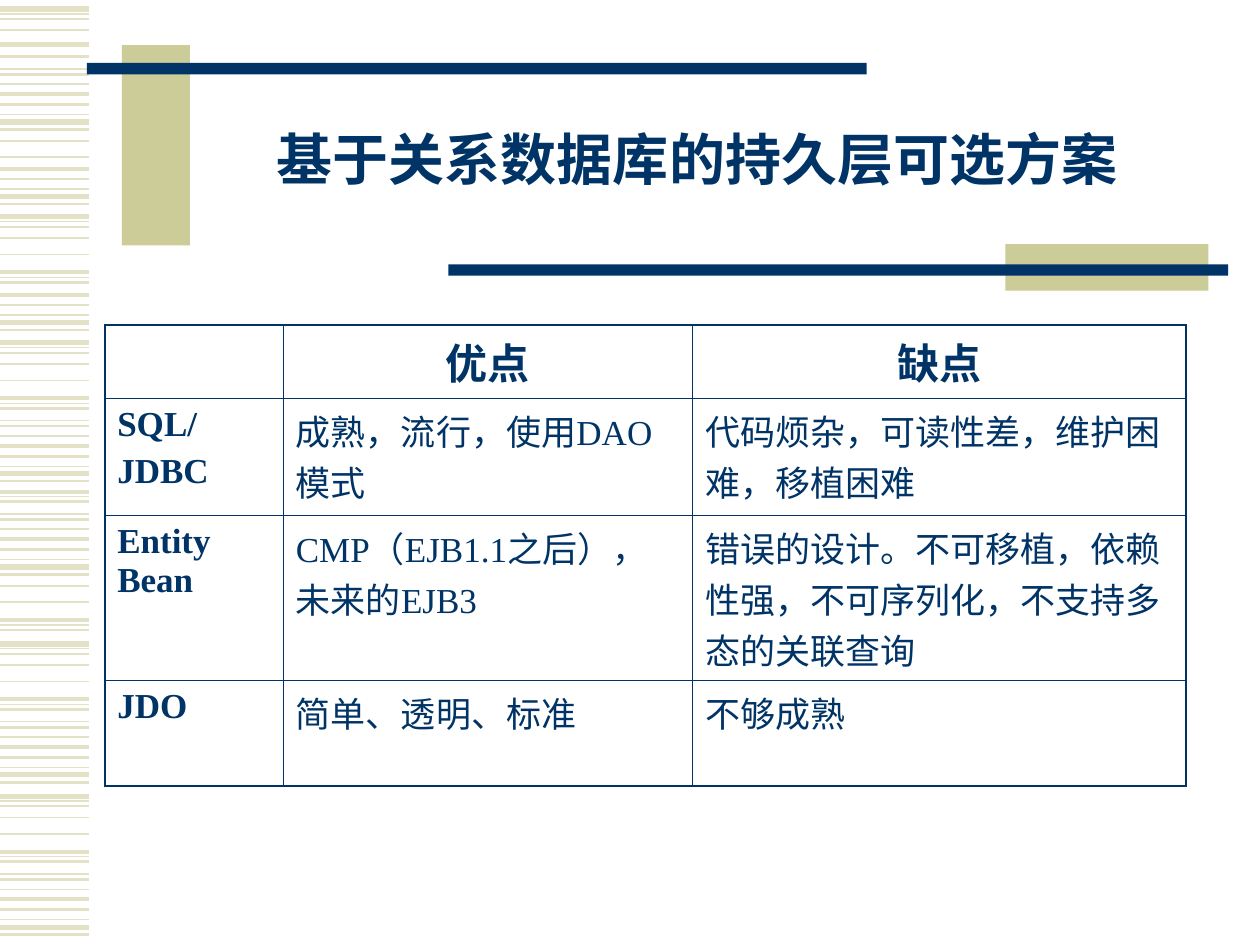
from lxml.etree import SubElement
from pptx import Presentation
from pptx.dml.color import RGBColor
from pptx.enum.shapes import MSO_CONNECTOR, MSO_SHAPE
from pptx.enum.text import MSO_ANCHOR, PP_ALIGN
from pptx.oxml.ns import qn
from pptx.util import Cm, Pt

NAVY, OLIVE, PALE = "003366", "CCCC99", "E3E2C7"
FONT = "Times New Roman"

# One stripe motif: offset from its top in cm, line weight in points
MOTIF = [(0, 3), (0.1, 0.75), (0.2, 1), (0.43, 1), (0.76, 1), (1.12, 2.25),
         (1.22, 0.75), (1.32, 1.5), (1.57, 0.75), (1.68, 1.5), (1.88, 1),
         (2.08, 2.25), (2.29, 1.5), (2.49, 0.75), (2.64, 3), (2.79, 1.5)]
# Runs of the motif down the margin: top in cm, first stripe, end stripe
STRIPE_RUNS = [(0.18, 0, 4), (0.89, 14, 15), (1.14, 7, 16), (2.84, 3, 5),
               (3.4, 11, 16), (4.37, 0, 8), (5.94, 11, 16), (6.91, 0, 16),
               (9.91, 5, 16), (11.81, 3, 8), (12.98, 0, 16), (16.05, 0, 16)]

TITLE = "基于关系数据库的持久层可选方案"
ROWS = [
    ["", "优点", "缺点"],
    ["SQL/\nJDBC", "成熟，流行，使用DAO模式", "代码烦杂，可读性差，维护困难，移植困难"],
    ["Entity Bean", "CMP（EJB1.1之后），未来的EJB3",
     "错误的设计。不可移植，依赖性强，不可序列化，不支持多态的关联查询"],
    ["JDO", "简单、透明、标准", "不够成熟"],
]
COLUMN_WIDTHS = [3.6, 8.25, 9.95]
ROW_HEIGHTS = [1.48, 2.36, 2.92, 2.13]


def color(hex_string):
    return RGBColor.from_string(hex_string)


def set_all(target, values):
    for name, value in values.items():
        setattr(target, name, value)


def format_paragraph(paragraph, size, bold, **values):
    set_all(paragraph, values)
    set_all(paragraph.font, {"name": FONT, "size": Pt(size), "bold": bold})
    paragraph.font.color.rgb = color(NAVY)


def add_stripes(slide, left, top, width):
    """Pale horizontal stripes down the left margin."""
    for run_top, first, end in STRIPE_RUNS:
        for offset, weight in MOTIF[first:end]:
            y = Cm(top + run_top + offset - MOTIF[first][0])
            stripe = slide.shapes.add_connector(
                MSO_CONNECTOR.STRAIGHT, Cm(left), y, Cm(left + width), y)
            stripe.line.color.rgb = color(PALE)
            stripe.line.width = Pt(weight)
            SubElement(stripe._element.spPr, qn("a:effectLst"))


def add_block(slide, left, top, width, height, fill):
    block = slide.shapes.add_shape(
        MSO_SHAPE.RECTANGLE, Cm(left), Cm(top), Cm(width), Cm(height))
    block.fill.solid()
    block.fill.fore_color.rgb = color(fill)
    block.line.fill.background()
    block.shadow.inherit = False


def add_header(slide, left, top, width, height):
    """Title between two bars, each crossing an olive block."""
    bar_width, bar_height = 15.72, 0.23
    add_block(slide, left + 0.71, top, 1.37, 4.04, OLIVE)
    add_block(slide, left, top + 0.36, bar_width, bar_height, NAVY)
    add_block(slide, left + width - 4.49, top + height - 0.94, 4.09, 0.94, OLIVE)
    add_block(slide, left + width - bar_width, top + height - 0.53,
              bar_width, bar_height, NAVY)

    title = slide.shapes.title
    set_all(title, {"left": Cm(left + 2.06), "top": Cm(top + 0.79),
                    "width": Cm(20.5), "height": Cm(3.18)})
    title.text_frame.text = TITLE
    title.text_frame.vertical_anchor = MSO_ANCHOR.MIDDLE
    format_paragraph(title.text_frame.paragraphs[0], 32, True,
                     alignment=PP_ALIGN.CENTER, line_spacing=0.85)
    slide.shapes._spTree.append(title._element)  # bring in front of the blocks


def set_borders(cell, outer_sides):
    """Thicker lines on the table's edge, thin ones inside."""
    properties = cell._tc.get_or_add_tcPr()
    for side in "LRTB":
        weight = 1.08 if side in outer_sides else 0.45
        line = SubElement(properties, qn(f"a:ln{side}"), w=str(Pt(weight)))
        fill = SubElement(line, qn("a:solidFill"))
        SubElement(fill, qn("a:srgbClr"), val=NAVY)


def add_comparison(slide, left, top, width, height):
    """Table of the advantages and drawbacks of each option."""
    table = slide.shapes.add_table(len(ROWS), len(COLUMN_WIDTHS), Cm(left),
                                   Cm(top), Cm(width), Cm(height)).table
    set_all(table, {"first_row": False, "horz_banding": False})
    for column, column_width in zip(table.columns, COLUMN_WIDTHS):
        column.width = Cm(column_width)
    for row, row_height in zip(table.rows, ROW_HEIGHTS):
        row.height = Cm(row_height)

    for i, texts in enumerate(ROWS):
        for j, text in enumerate(texts):
            cell = table.cell(i, j)
            cell.text = text
            is_header = i == 0
            for paragraph in cell.text_frame.paragraphs:
                format_paragraph(
                    paragraph, 24 if is_header else 20, is_header or j == 0,
                    alignment=PP_ALIGN.CENTER if is_header else PP_ALIGN.LEFT,
                    space_before=Pt(6 if is_header else 5))
            edges = {"T": i == 0, "B": i == len(ROWS) - 1,
                     "L": j == 0, "R": j == len(texts) - 1}
            set_borders(cell, [side for side, outer in edges.items() if outer])
            cell.fill.background()


def main():
    presentation = Presentation()
    set_all(presentation, {"slide_width": Cm(25.4), "slide_height": Cm(19.05)})
    slide = presentation.slides.add_slide(presentation.slide_layouts[5])
    add_stripes(slide, 0, 0, 1.8)
    add_header(slide, 1.75, 0.91, 23.01, 4.95)
    add_comparison(slide, 2.11, 6.55, sum(COLUMN_WIDTHS), sum(ROW_HEIGHTS))
    presentation.save("out.pptx")


if __name__ == "__main__":
    main()
